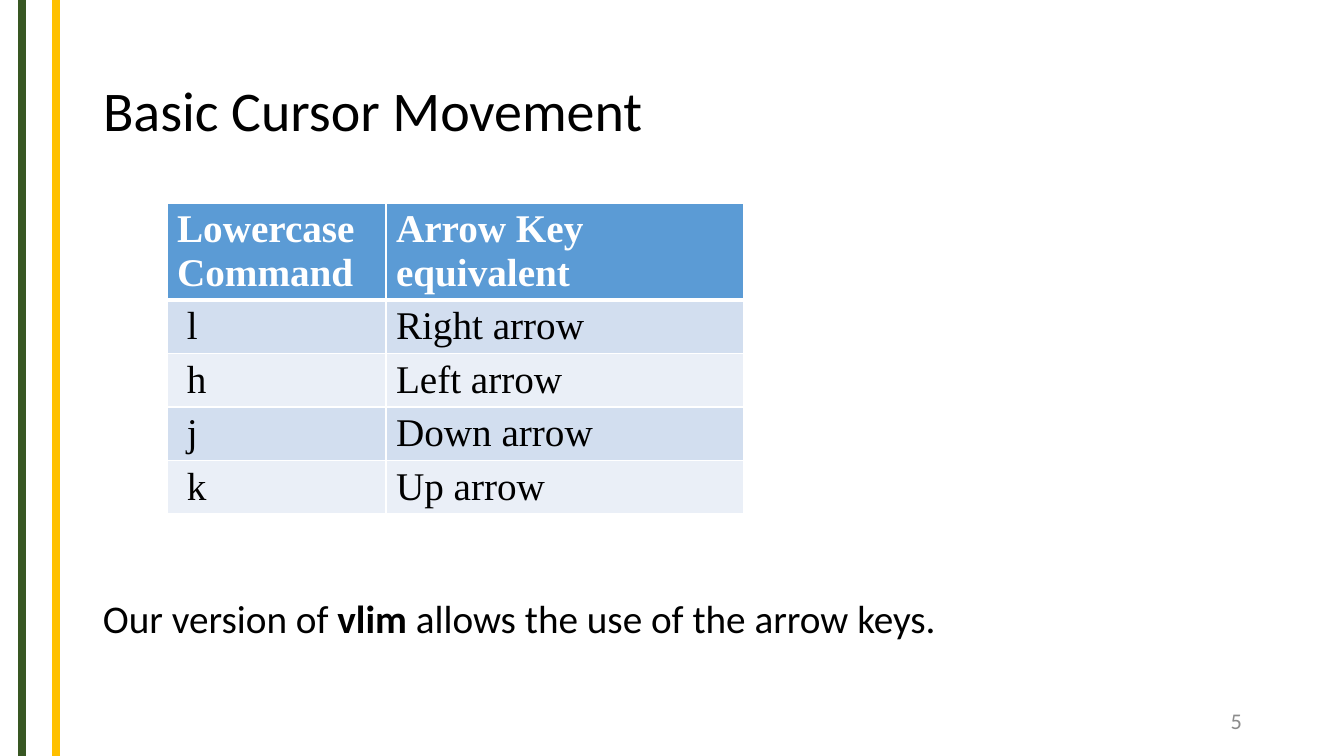
import lxml.etree
import pptx
import pptx.dml.color
import pptx.enum.shapes
import pptx.enum.text
import pptx.oxml
import pptx.oxml.ns
import pptx.util

EMU_PER_PIXEL = 914400 / 100.8
BODY_FONT, TABLE_FONT = "Calibri", "Times New Roman"
MOVES = [("l", "Right arrow"), ("h", "Left arrow"), ("j", "Down arrow"), ("k", "Up arrow")]


def px(pixels):
    return pptx.util.Emu(round(pixels * EMU_PER_PIXEL))


def color(hex_string):
    return pptx.dml.color.RGBColor.from_string(hex_string)


def style(paragraph, font_name, size, hex_string, bold=False):
    for run in paragraph.runs:
        run.font.name = font_name
        run.font.size = pptx.util.Pt(size)
        run.font.color.rgb = color(hex_string)
        run.font.bold = bold


def add_stripe(slide, x, top, bottom, hex_string):
    stripe = slide.shapes.add_connector(
        pptx.enum.shapes.MSO_CONNECTOR.STRAIGHT, px(x), px(top), px(x), px(bottom))
    stripe.line.color.rgb = color(hex_string)
    stripe.line.width = pptx.util.Pt(6)
    lxml.etree.SubElement(stripe._element.spPr, pptx.oxml.ns.qn("a:effectLst"))


def place_title(slide, left, top, width, height):
    title = slide.shapes.title
    title.left, title.top, title.width, title.height = map(px, (left, top, width, height))
    frame = title.text_frame
    frame.text = "Basic Cursor Movement"
    frame.auto_size = pptx.enum.text.MSO_AUTO_SIZE.NONE
    frame.vertical_anchor = pptx.enum.text.MSO_ANCHOR.MIDDLE
    heading = frame.paragraphs[0]
    heading.alignment = pptx.enum.text.PP_ALIGN.LEFT
    heading.line_spacing = 0.9
    style(heading, BODY_FONT, 40, "000000")


def set_borders(cell, widths):
    properties = cell._tc.get_or_add_tcPr()
    for index, (side, points) in enumerate(widths.items()):
        border = pptx.oxml.parse_xml(
            f'<a:ln{side} {pptx.oxml.ns.nsdecls("a")} w="{pptx.util.Pt(points)}">'
            '<a:solidFill><a:srgbClr val="FFFFFF"/></a:solidFill>'
            f'</a:ln{side}>')
        properties.insert(index, border)


def add_key_table(slide, left, top, column_widths, header_height, row_height):
    rows = [("Lowercase Command", "Arrow Key equivalent")] + MOVES
    heights = [header_height] + [row_height] * len(MOVES)
    table = slide.shapes.add_table(
        len(rows), len(column_widths), px(left), px(top),
        px(sum(column_widths)), px(sum(heights))).table
    for column, width in zip(table.columns, column_widths):
        column.width = px(width)
    for r, (row, height) in enumerate(zip(rows, heights)):
        table.rows[r].height = px(height)
        header = r == 0
        fill = "5B9BD5" if header else ("EAEFF7", "D2DEEF")[r % 2]
        for c, label in enumerate(row):
            cell = table.cell(r, c)
            cell.text = label
            style(cell.text_frame.paragraphs[0], TABLE_FONT, 28,
                  "FFFFFF" if header else "000000", header)
            cell.fill.solid()
            cell.fill.fore_color.rgb = color(fill)
            # Command letters sit slightly inside the header's left edge
            if c == 0 and not header:
                cell.margin_left = px(20)
            set_borders(cell, {"L": 1, "R": 1, "T": 3 if r == 1 else 1, "B": 3 if header else 1})


def add_text(slide, left, top, width, height, parts, size, hex_string, alignment, wrap):
    frame = slide.shapes.add_textbox(*map(px, (left, top, width, height))).text_frame
    frame.word_wrap = wrap
    frame.vertical_anchor = pptx.enum.text.MSO_ANCHOR.MIDDLE
    paragraph = frame.paragraphs[0]
    paragraph.alignment = alignment
    for part in parts:
        paragraph.add_run().text = part
    style(paragraph, BODY_FONT, size, hex_string)
    return paragraph


def add_editor_note(slide, left, top, width, height):
    note = add_text(slide, left, top, width, height,
                    ["Our version of ", "vlim", " allows the use of the arrow keys."],
                    28, "000000", pptx.enum.text.PP_ALIGN.LEFT, False)
    note.runs[1].font.bold = True


def add_page_number(slide, left, top, width, height):
    add_text(slide, left, top, width, height, ["5"], 16, "8C8C8C",
             pptx.enum.text.PP_ALIGN.RIGHT, True)


presentation = pptx.Presentation()
presentation.slide_width, presentation.slide_height = px(1344), px(756)
slide = presentation.slides.add_slide(presentation.slide_layouts[5])

# Side stripes
add_stripe(slide, 22, 0, 756, "385723")
add_stripe(slide, 56, 0, 756, "FFC000")

# Title, key table, note and page number
place_title(slide, 93, 40, 1159, 146)
add_key_table(slide, 167, 203, [219, 358], 97, 53)
add_editor_note(slide, 93, 589, 875, 57)
add_page_number(slide, 950, 701, 302, 40)

presentation.save("out.pptx")
